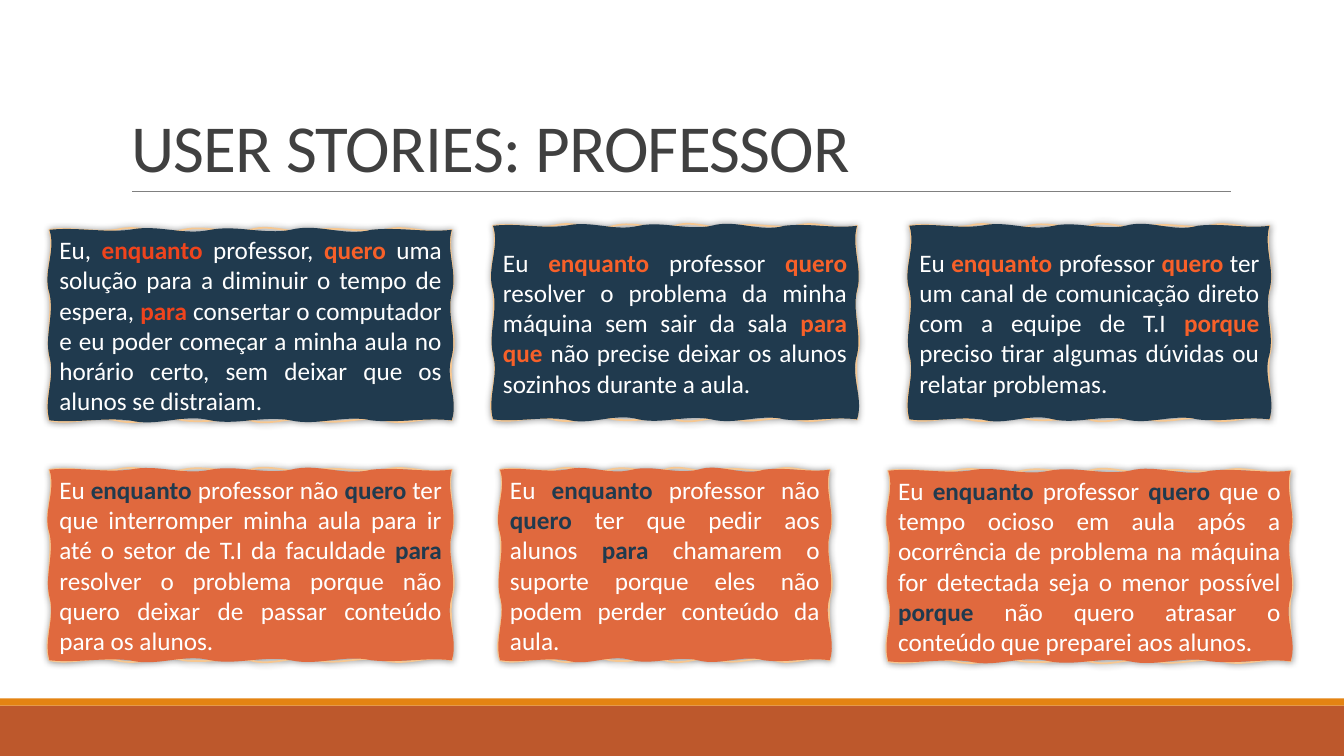
from copy import deepcopy
from dataclasses import dataclass
from itertools import cycle

from lxml.etree import SubElement
from pptx import Presentation
from pptx.dml.color import RGBColor
from pptx.enum.shapes import MSO_CONNECTOR, MSO_SHAPE
from pptx.enum.text import MSO_ANCHOR, MSO_AUTO_SIZE, PP_ALIGN
from pptx.oxml.ns import qn
from pptx.slide import Slide
from pptx.util import Inches, Pt


@dataclass(frozen=True)
class Theme:
    font: str = "Calibri"
    title_size: float = 48
    body_size: float = 18
    title: str = "404040"
    white: str = "FFFFFF"
    navy: str = "203A4E"
    coral: str = "E0693E"
    orange: str = "F76029"
    red: str = "EF441D"
    edge: str = "F6C791"
    rule: str = "808080"
    band: str = "BD582C"
    stripe: str = "E48312"


@dataclass(frozen=True)
class Card:
    left: float
    top: float
    width: float
    height: float
    fill: str
    accents: tuple[str, ...]
    story: str  # phrases between bars are emphasised


@dataclass(frozen=True)
class Band:
    top: float
    height: float
    fill: str


THEME = Theme()
SLIDE_W, SLIDE_H = 13.33, 7.5
SWINGS = (0.03, 0.06, 0.05, 0.07)  # how far the curve handles leave an edge

BANDS = (Band(7, 0.5, THEME.band), Band(6.93, 0.07, THEME.stripe))

NAVY_ACCENT, CORAL_ACCENT = (THEME.orange,), (THEME.navy,)
CARDS = (
    Card(0.49, 2.28, 3.99, 1.89, THEME.navy, (THEME.red, THEME.orange),
         "Eu, |enquanto |professor, |quero |uma solução para a diminuir o tempo de espera, "
         "|para |consertar o computador e eu poder começar a minha aula no horário certo, "
         "sem deixar que os alunos se distraiam."),
    Card(4.89, 2.24, 3.61, 1.92, THEME.navy, NAVY_ACCENT,
         "Eu |enquanto |professor |quero |resolver o problema da minha máquina sem sair "
         "da sala |para que |não precise deixar os alunos sozinhos durante a aula."),
    Card(9.02, 2.24, 3.57, 1.92, THEME.navy, NAVY_ACCENT,
         "Eu |enquanto |professor |quero |ter um canal de comunicação direto com a equipe "
         "de T.I |porque |preciso tirar algumas dúvidas ou relatar problemas."),
    Card(0.49, 4.66, 3.99, 1.89, THEME.coral, CORAL_ACCENT,
         "Eu |enquanto |professor não |quero |ter que interromper minha aula para ir até "
         "o setor de T.I da faculdade |para |resolver o problema porque não quero deixar "
         "de passar conteúdo para os alunos."),
    Card(4.96, 4.66, 3.27, 1.89, THEME.coral, CORAL_ACCENT,
         "Eu |enquanto |professor não |quero |ter que pedir aos alunos |para |chamarem o "
         "suporte porque eles não podem perder conteúdo da aula."),
    Card(8.81, 4.67, 3.99, 1.89, THEME.coral, CORAL_ACCENT,
         "Eu |enquanto |professor |quero |que o tempo ocioso em aula após a ocorrência de "
         "problema na máquina for detectada seja o menor possível |porque |não quero "
         "atrasar o conteúdo que preparei aos alunos."),
)


def rgb(color: str) -> RGBColor:
    return RGBColor.from_string(color)


def add_text(p, text: str, *, size: float, color: str, bold: bool = False,
             spacing: float = 0) -> None:
    r = p.add_run()
    r.text = text
    r.font.name, r.font.size, r.font.bold = THEME.font, Pt(size), bold
    r.font.color.rgb = rgb(color)
    if spacing:
        r._r.get_or_add_rPr().set("spc", str(round(spacing * 100)))


def add_band(slide: Slide, band: Band) -> None:
    s = slide.shapes.add_shape(MSO_SHAPE.RECTANGLE, 0, Inches(band.top),
                               Inches(SLIDE_W), Inches(band.height))
    s.shadow.inherit = False
    s.fill.solid()
    s.fill.fore_color.rgb = rgb(band.fill)
    s.line.fill.background()


def add_rule(slide: Slide) -> None:
    line = slide.shapes.add_connector(MSO_CONNECTOR.STRAIGHT, Inches(1.31), Inches(1.9),
                                      Inches(12.21), Inches(1.9))
    line.line.color.rgb = rgb(THEME.rule)
    line.line.width = Pt(0.5)
    SubElement(line._element.spPr, qn("a:effectLst"))


def add_title(slide: Slide, text: str) -> None:
    s = slide.shapes.title
    s.left, s.top, s.width, s.height = Inches(1.2), Inches(0.31), Inches(11), Inches(1.59)
    tf = s.text_frame
    tf.word_wrap, tf.auto_size = True, MSO_AUTO_SIZE.NONE
    tf.vertical_anchor = MSO_ANCHOR.BOTTOM
    p = tf.paragraphs[0]
    p.alignment, p.line_spacing = PP_ALIGN.LEFT, 0.85
    add_text(p, text, size=THEME.title_size, color=THEME.title, spacing=-0.5)


def edge_knots(card: Card, across: int, down: int) -> list[tuple[int, int]]:
    """Equal steps clockwise round the card, back to the first corner."""
    right, bottom = card.left + card.width, card.top + card.height
    corners = [(card.left, card.top), (right, card.top), (right, bottom), (card.left, bottom)]
    knots = []
    for i, (x0, y0) in enumerate(corners):
        x1, y1 = corners[(i + 1) % 4]
        steps = down if i % 2 else across
        knots += [(Inches(x0 + (x1 - x0) * n / steps), Inches(y0 + (y1 - y0) * n / steps))
                  for n in range(steps)]
    return knots + knots[:1]


def bend_edges(path) -> None:
    """Turn every straight step of the path into a shallow S-curve."""
    swings = cycle(SWINGS)
    x0 = y0 = 0
    for step in list(path):
        pt = step.find(qn("a:pt"))
        if pt is None:
            continue
        x1, y1 = int(pt.get("x")), int(pt.get("y"))
        if step.tag == qn("a:lnTo"):
            step.tag = qn("a:cubicBezTo")
            step.remove(pt)
            swing = Inches(next(swings))
            flat = abs(x1 - x0) > abs(y1 - y0)
            for t, shift in ((1 / 3, -swing), (2 / 3, swing), (1, 0)):
                x = x0 + (x1 - x0) * t + (0 if flat else shift)
                y = y0 + (y1 - y0) * t + (shift if flat else 0)
                SubElement(step, qn("a:pt"), x=str(round(x)), y=str(round(y)))
        x0, y0 = x1, y1


def split_contours(s, outline_size: int) -> None:
    """Stroke the first contour only and fill the second only."""
    outline = s._element.spPr.find(".//" + qn("a:path"))
    fill = deepcopy(outline)
    outline.addnext(fill)
    for child in outline[outline_size:]:
        outline.remove(child)
    for child in fill[:outline_size]:
        fill.remove(child)
    outline.set("fill", "none")
    fill.set("stroke", "0")
    bend_edges(outline)
    bend_edges(fill)


def add_glow_shadow(s) -> None:
    s.shadow.inherit = False
    effects = s._element.spPr.find(qn("a:effectLst"))
    shadow = SubElement(effects, qn("a:outerShdw"), blurRad=str(Pt(5)), dist="0",
                        dir="0", algn="ctr", rotWithShape="0")
    color = SubElement(shadow, qn("a:srgbClr"), val="000000")
    SubElement(color, qn("a:alpha"), val="40000")


def add_card(slide: Slide, card: Card) -> None:
    # Hand-drawn box
    outline, body = edge_knots(card, 6, 3), edge_knots(card, 5, 3)
    builder = slide.shapes.build_freeform(*outline[0])
    builder.add_line_segments(outline[1:], close=True)
    builder.move_to(*body[0])
    builder.add_line_segments(body[1:], close=True)
    s = builder.convert_to_shape()
    split_contours(s, len(outline) + 1)
    s.fill.solid()
    s.fill.fore_color.rgb = rgb(card.fill)
    s.line.color.rgb = rgb(THEME.edge)
    s.line.width = Pt(1.25)
    add_glow_shadow(s)

    # Story
    tf = s.text_frame
    tf.word_wrap = True
    tf.vertical_anchor = MSO_ANCHOR.MIDDLE
    p = tf.paragraphs[0]
    p.alignment = PP_ALIGN.JUSTIFY
    accents = cycle(card.accents)
    for i, phrase in enumerate(card.story.split("|")):
        strong = i % 2 == 1
        add_text(p, phrase, size=THEME.body_size, bold=strong,
                 color=next(accents) if strong else THEME.white)


def main() -> None:
    prs = Presentation()
    prs.slide_width, prs.slide_height = Inches(SLIDE_W), Inches(SLIDE_H)
    slide = prs.slides.add_slide(prs.slide_layouts[5])
    for band in BANDS:
        add_band(slide, band)
    add_rule(slide)
    add_title(slide, "USER STORIES: PROFESSOR")
    for card in CARDS:
        add_card(slide, card)
    prs.save("out.pptx")


if __name__ == "__main__":
    main()
